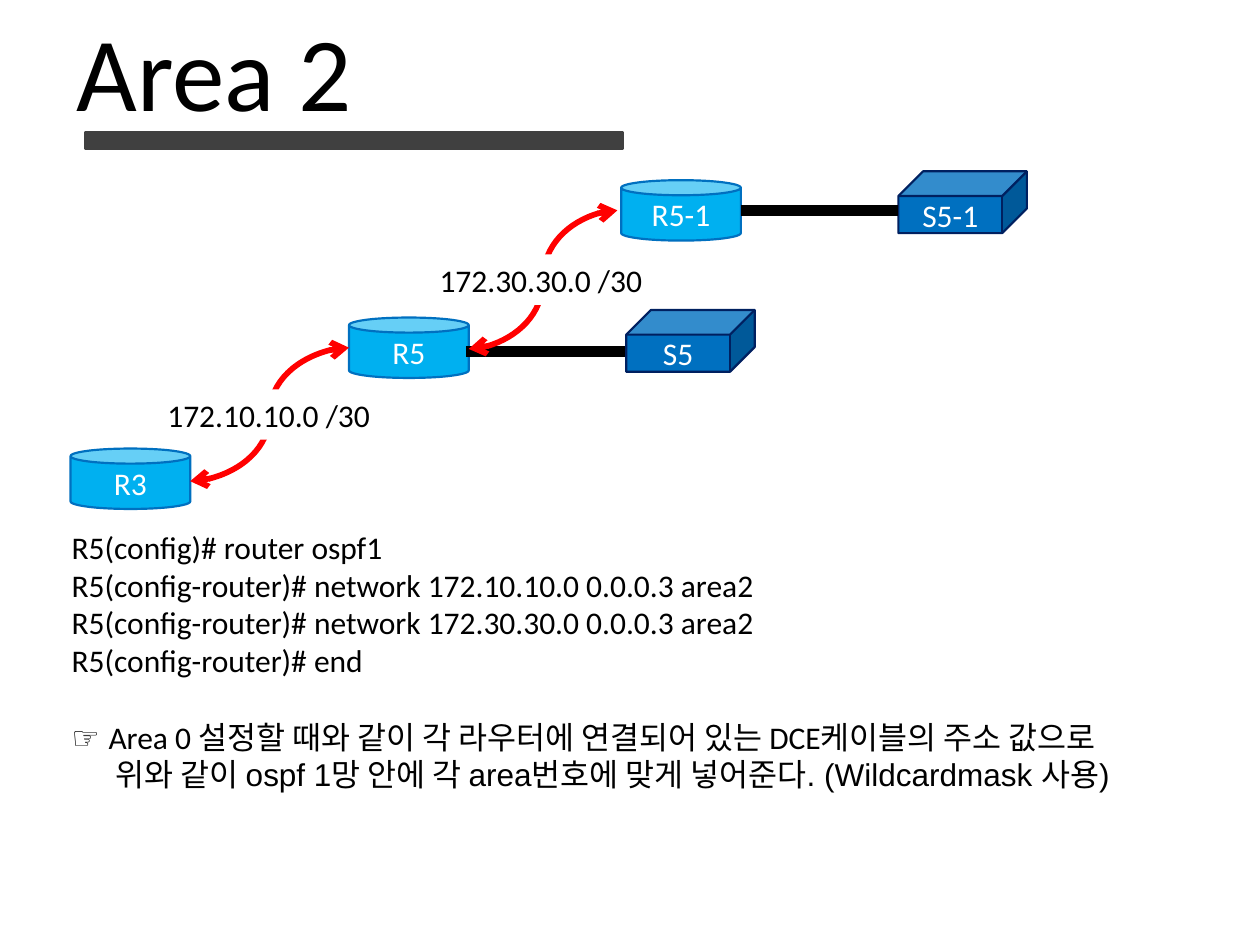
from dataclasses import dataclass
from typing import NamedTuple

from pptx import Presentation
from pptx.dml.color import RGBColor
from pptx.enum.shapes import MSO_CONNECTOR as Connector, MSO_SHAPE as Preset
from pptx.enum.text import MSO_ANCHOR as Anchor, MSO_AUTO_SIZE as AutoSize, PP_ALIGN as Align
from pptx.oxml import parse_xml
from pptx.oxml.ns import nsdecls, qn
from pptx.slide import Slide
from pptx.util import Inches, Pt


@dataclass(frozen=True)
class Theme:
    black: str = "000000"
    white: str = "FFFFFF"
    bar: str = "404040"
    router_fill: str = "00B0F0"
    router_line: str = "0070C0"
    switch_fill: str = "0070C0"
    switch_line: str = "002060"
    route: str = "FF0000"
    font: str = "Calibri"
    note_font: str = "Arial"
    title_size: float = 60
    body_size: float = 18
    outline: float = 1.25
    route_width: float = 3.25
    cable_width: float = 6


THEME = Theme()


class DeviceKind(NamedTuple):
    preset: Preset
    width: float
    height: float
    fill: str
    line: str
    adjustments: tuple = ()


class Device(NamedTuple):
    name: str
    kind: DeviceKind
    left: float
    top: float


class Link(NamedTuple):
    start: tuple
    end: tuple


class Label(NamedTuple):
    text: str
    left: float
    top: float


class TextRun(NamedTuple):
    text: str
    font: str = THEME.font


ROUTER = DeviceKind(Preset.CAN, 0.95, 0.48, THEME.router_fill, THEME.router_line)
SWITCH = DeviceKind(Preset.CUBE, 1.02, 0.49, THEME.switch_fill, THEME.switch_line, (0.4,))

DEVICES = (
    Device("R3", ROUTER, 0.56, 3.56),
    Device("R5", ROUTER, 2.77, 2.52),
    Device("R5-1", ROUTER, 4.93, 1.43),
    Device("S5-1", SWITCH, 7.13, 1.36),
    Device("S5", SWITCH, 4.97, 2.46),
)
CABLES = (Link((3.7, 2.79), (4.96, 2.79)), Link((5.88, 1.67), (7.13, 1.67)))
ROUTES = (Link((1.51, 3.82), (2.77, 2.76)), Link((3.72, 2.77), (4.9, 1.67)))
NETWORKS = (Label("172.10.10.0 /30", 1.23, 3.09), Label("172.30.30.0 /30", 3.39, 2.02))
COMMANDS = (
    "R5(config)# router ospf1",
    "R5(config-router)# network 172.10.10.0 0.0.0.3 area2",
    "R5(config-router)# network 172.30.30.0 0.0.0.3 area2",
    "R5(config-router)# end",
)
NOTE = (
    TextRun("☞ ", THEME.note_font),
    TextRun("Area 0 설정할 때와 같이 각 라우터에 연결되어 있는 DCE케이블의 주소 값으로"),
)
NOTE_CONTINUED = (
    TextRun("위와 같이 ospf 1망 안에 각 area번호에 맞게 넣어준다. (Wildcardmask 사용)", THEME.note_font),
)


def apply_format(target, values: dict) -> None:
    for name, value in values.items():
        setattr(target, name, value)


def add_runs(paragraph, runs: tuple, size: float = THEME.body_size, color: str = THEME.black) -> None:
    for text, font in runs:
        run = paragraph.add_run()
        run.text = text
        apply_format(run.font, {"name": font, "size": Pt(size)})
        run.font.color.rgb = RGBColor.from_string(color)


def add_preset(slide: Slide, preset: Preset, box: tuple, fill: str, line: str):
    shape = slide.shapes.add_shape(preset, *map(Inches, box))
    shape.shadow.inherit = False
    shape.fill.solid()
    shape.fill.fore_color.rgb = RGBColor.from_string(fill)
    shape.line.color.rgb = RGBColor.from_string(line)
    shape.line.width = Pt(THEME.outline)
    return shape


def add_device(slide: Slide, device: Device) -> None:
    kind = device.kind
    box = (device.left, device.top, kind.width, kind.height)
    shape = add_preset(slide, kind.preset, box, kind.fill, kind.line)
    for index, value in enumerate(kind.adjustments):
        shape.adjustments[index] = value
    shape.text_frame.vertical_anchor = Anchor.MIDDLE
    paragraph = shape.text_frame.paragraphs[0]
    paragraph.alignment = Align.CENTER
    add_runs(paragraph, (TextRun(device.name),), color=THEME.white)


def add_link(slide: Slide, link: Link, style: Connector, color: str, width: float, arrows: bool = False) -> None:
    connector = slide.shapes.add_connector(style, *map(Inches, link.start + link.end))
    connector.line.color.rgb = RGBColor.from_string(color)
    connector.line.width = Pt(width)
    properties = connector._element.spPr
    if arrows:
        outline = properties.find(qn("a:ln"))
        for end in ("headEnd", "tailEnd"):
            outline.append(parse_xml(f'<a:{end} {nsdecls("a")} type="arrow"/>'))
    properties.append(parse_xml(f'<a:effectLst {nsdecls("a")}/>'))


def add_text_box(slide: Slide, box: tuple, wrap: bool = False):
    shape = slide.shapes.add_textbox(*map(Inches, box))
    apply_format(shape.text_frame, {"word_wrap": wrap, "auto_size": AutoSize.SHAPE_TO_FIT_TEXT})
    return shape


def add_network_label(slide: Slide, label: Label) -> None:
    shape = add_text_box(slide, (label.left, label.top, 1.83, 0.4))
    shape.fill.solid()
    shape.fill.fore_color.rgb = RGBColor.from_string(THEME.white)
    add_runs(shape.text_frame.paragraphs[0], (TextRun(label.text),))


def add_explanation(slide: Slide) -> None:
    frame = add_text_box(slide, (0.47, 4.14, 9.18, 2.52), wrap=True).text_frame
    lines = [(TextRun(command),) for command in COMMANDS] + [NOTE, NOTE_CONTINUED]
    for index, runs in enumerate(lines):
        paragraph = frame.add_paragraph() if index else frame.paragraphs[0]
        add_runs(paragraph, runs)
        if runs is NOTE:
            paragraph.space_before = Pt(22)
        elif runs is NOTE_CONTINUED:
            apply_format_xml = paragraph._p.get_or_add_pPr()
            apply_format_xml.set("marL", str(Inches(0.35)))


def main() -> None:
    presentation = Presentation()
    apply_format(presentation, {"slide_width": Inches(10), "slide_height": Inches(7.5)})
    slide = presentation.slides.add_slide(presentation.slide_layouts[6])

    title = add_text_box(slide, (0.51, 0, 2.41, 1.11))
    add_runs(title.text_frame.paragraphs[0], (TextRun("Area 2"),), size=THEME.title_size)
    add_preset(slide, Preset.MATH_MINUS, (-0.09, 0.84, 5.8, 0.55), THEME.bar, THEME.bar)

    for device in DEVICES:
        add_device(slide, device)
    for cable in CABLES:
        add_link(slide, cable, Connector.STRAIGHT, THEME.black, THEME.cable_width)
    for route in ROUTES:
        add_link(slide, route, Connector.CURVE, THEME.route, THEME.route_width, arrows=True)
    for network in NETWORKS:
        add_network_label(slide, network)
    add_explanation(slide)

    presentation.save("out.pptx")


if __name__ == "__main__":
    main()
